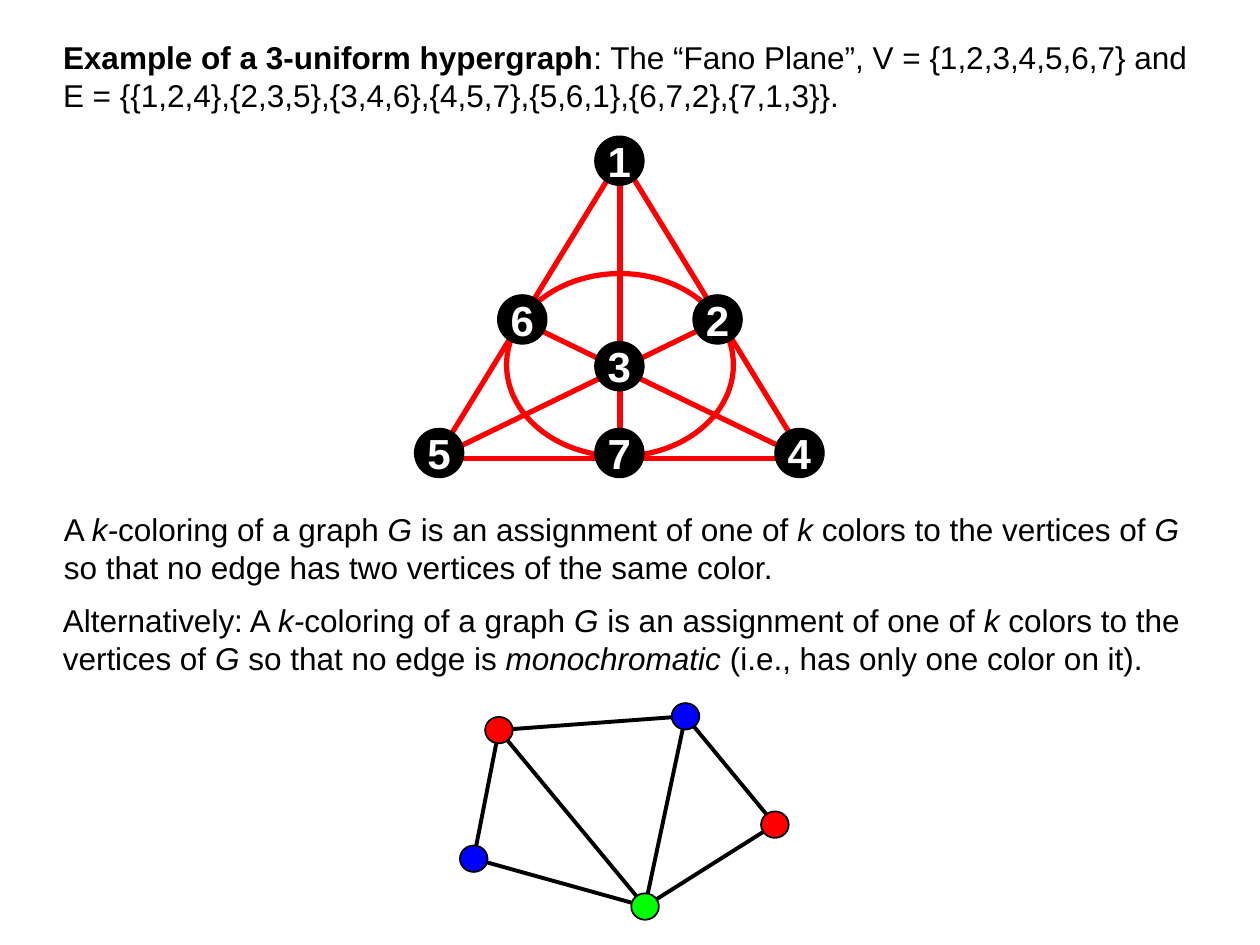
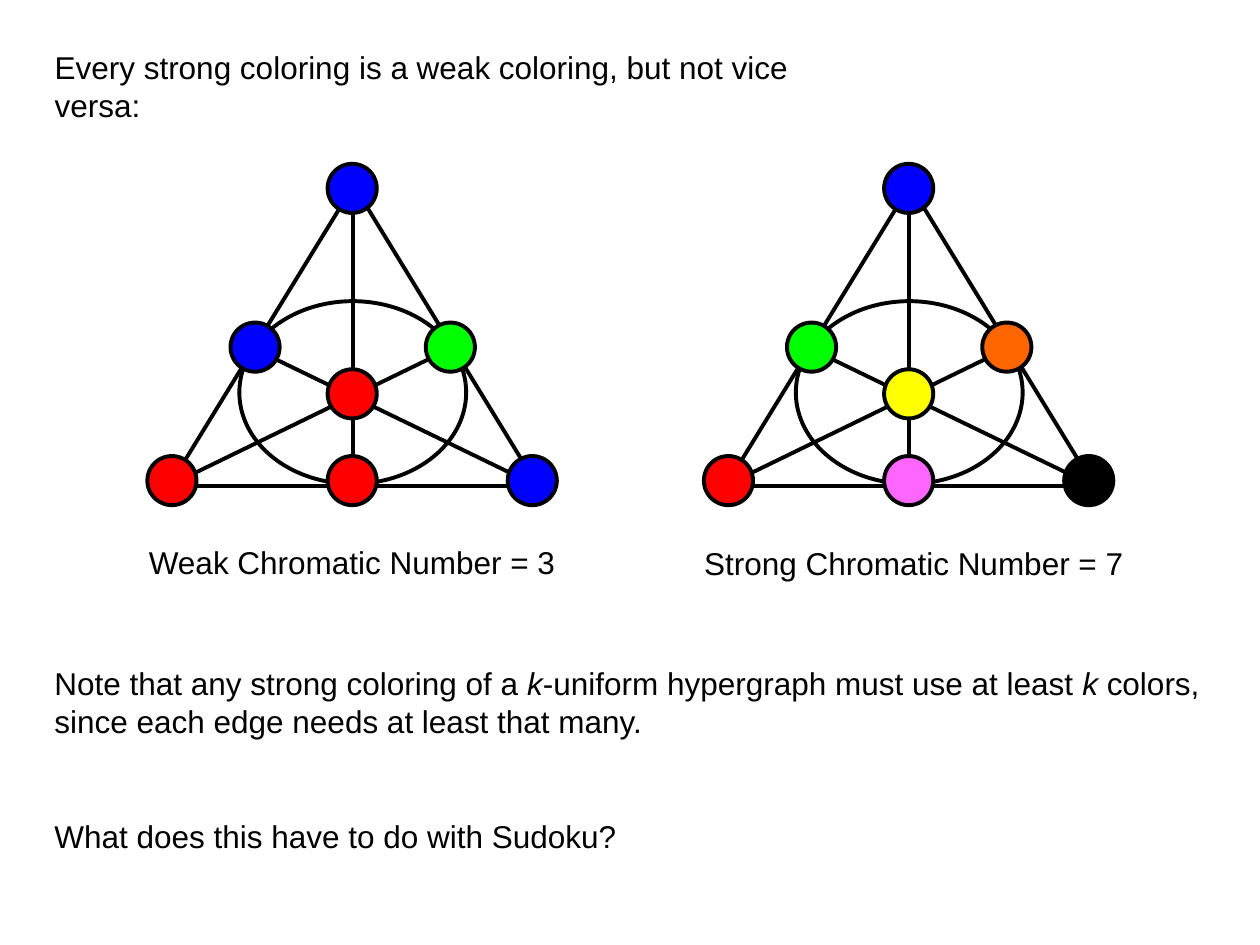
from dataclasses import dataclass

from lxml.etree import SubElement
from pptx import Presentation
from pptx.dml.color import RGBColor
from pptx.enum.shapes import MSO_CONNECTOR as Link, MSO_SHAPE as Kind
from pptx.enum.text import MSO_ANCHOR as Anchor, MSO_AUTO_SIZE as Fit, PP_ALIGN as Align
from pptx.oxml.ns import qn
from pptx.util import Pt

FONT = "Arial"
BLACK, WHITE, RED, BLUE, GREEN = "000000", "FFFFFF", "FF0000", "0000FF", "00FF00"
YELLOW, ORANGE, PINK = "FFFF00", "FF6600", "FF66FF"

Point = tuple[float, float]


@dataclass
class Box:
    left: float
    top: float
    width: float
    height: float

    def at(self, x: float = 0, y: float = 0) -> list[Pt]:
        """Give the four lengths, moved by x and y."""
        return [Pt(v) for v in (self.left + x, self.top + y, self.width, self.height)]


@dataclass
class Note:
    box: Box
    lines: list[str]


@dataclass
class Plane:
    left: float
    top: float
    ink: str
    width: float
    rim: float
    fills: list[str]
    labels: str = ""


# The Fano plane, measured from its own top left corner; nodes run 1 to 7.
RING = Box(52.6, 78.5, 129.6, 104.4)
DISC = 28.08
LOW, MID, BASE = 167, 90.7, 184.3
NODES = [(103, 0), (159.1, MID), (103, 117.4), (205.9, LOW),
         (0, LOW), (47.5, MID), (103, LOW)]
APEX, LEFT, RIGHT = (117.4, 11.5), (11.5, BASE), (223.2, BASE)
SIDES = [(LEFT, RIGHT), ((118, 12.2), (13.7, 182.2)), (APEX, RIGHT),
         ((61.2, 105.8), RIGHT), ((172.8, 105.8), LEFT), (APEX, (117.4, BASE))]

# The coloured graph: centre and fill of each vertex, then its edges.
DOT = (15.8, 15.1)
DOTS = {"a": (285.1, 417.2, RED), "b": (391.7, 409.3, BLUE), "c": (270.7, 490.7, BLUE),
        "d": (368.6, 518, GREEN), "e": (442.8, 471.2, RED)}
EDGES = ["ab", "ac", "ad", "bd", "be", "de", "cd"]

INTRO = Note(Box(28.8, 18, 657.4, 50.4), [
    "*Example of a 3-uniform hypergraph*: The “Fano Plane”, V = {1,2,3,4,5,6,7} and",
    "E = {{1,2,4},{2,3,5},{3,4,6},{4,5,7},{5,6,1},{6,7,2},{7,1,3}}."])
RULES = [
    Note(Box(29.4, 288, 652.3, 50.4), [
        "A *k-*coloring of a graph *G* is an assignment of one of *k* colors to the vertices of *G*",
        "so that no edge has two vertices of the same color."]),
    Note(Box(28.8, 340, 654.5, 50.4), [
        "Alternatively: A *k-*coloring of a graph *G* is an assignment of one of *k* colors to the",
        "vertices of *G *so that no edge is *monochromatic* (i.e., has only one color on it)."]),
]
CLAIM = Note(Box(24, 24, 487.4, 28.8),
             ["Every strong coloring is a weak coloring, but not vice versa:"])
REMARKS = [
    Note(Box(24, 376, 668.9, 50.4), [
        "Note that any strong coloring of a *k*-uniform hypergraph must use at least *k* colors,",
        "since each edge needs at least that many."]),
    Note(Box(24, 463.2, 335.5, 28.8), ["What does this have to do with Sudoku?"]),
    Note(Box(78, 306.5, 247, 28.8), ["Weak Chromatic Number = 3"]),
    Note(Box(395.3, 307.2, 254.2, 28.8), ["Strong Chromatic Number = 7"]),
]

NUMBERED = Plane(236.9, 77.8, RED, 3, 0.75, [BLACK] * 7, "1234567")
WEAK = Plane(84.2, 93.6, BLACK, 2.25, 2.25, [BLUE, GREEN, RED, BLUE, RED, BLUE, RED])
STRONG = Plane(402.2, 93.6, BLACK, 2.25, 2.25,
               [BLUE, ORANGE, YELLOW, BLACK, RED, GREEN, PINK])


def tint(code: str) -> RGBColor:
    return RGBColor.from_string(code)


def style(font, size: float, color: str) -> None:
    font.name, font.size = FONT, Pt(size)
    font.color.rgb = tint(color)


def write(frame, lines: list[str], mark: str = "italic") -> None:
    """Fill the frame; parts between asterisks get the marked style."""
    frame.word_wrap = False
    frame.auto_size = Fit.SHAPE_TO_FIT_TEXT
    frame.vertical_anchor = Anchor.TOP
    for n, line in enumerate(lines):
        para = frame.add_paragraph() if n else frame.paragraphs[0]
        para.alignment = Align.LEFT
        for k, part in enumerate(line.split("*")):
            if part:
                run = para.add_run()
                run.text = part
                style(run.font, 18, BLACK)
                setattr(run.font, mark, k % 2 == 1)


def head(slide, note: Note) -> None:
    """Place the opening statement in the title placeholder."""
    title = slide.shapes.title
    title.left, title.top, title.width, title.height = note.box.at()
    write(title.text_frame, note.lines, "bold")


def jot(slide, notes: list[Note]) -> None:
    for note in notes:
        write(slide.shapes.add_textbox(*note.box.at()).text_frame, note.lines)


def oval(shapes, spot: list[Pt], fill: str | None, ink: str, width: float):
    shape = shapes.add_shape(Kind.OVAL, *spot)
    shape.shadow.inherit = False
    if fill:
        shape.fill.solid()
        shape.fill.fore_color.rgb = tint(fill)
    else:
        shape.fill.background()
    shape.line.color.rgb = tint(ink)
    shape.line.width = Pt(width)
    return shape


def edge(shapes, start: Point, end: Point, ink: str, width: float) -> None:
    line = shapes.add_connector(Link.STRAIGHT, *(Pt(v) for v in (*start, *end)))
    line.line.color.rgb = tint(ink)
    line.line.width = Pt(width)
    SubElement(line._element.spPr, qn("a:effectLst"))


def label(shape, text: str) -> None:
    frame = shape.text_frame
    frame.text = text
    frame.word_wrap = False
    frame.vertical_anchor = Anchor.MIDDLE
    para = frame.paragraphs[0]
    para.alignment = Align.CENTER
    font = para.runs[0].font
    style(font, 24, WHITE)
    font.bold = True


def fano(slide, plane: Plane) -> None:
    shapes = slide.shapes.add_group_shape().shapes
    x, y = plane.left, plane.top
    oval(shapes, RING.at(x, y), None, plane.ink, plane.width)
    for (ax, ay), (bx, by) in SIDES:
        edge(shapes, (x + ax, y + ay), (x + bx, y + by), plane.ink, plane.width)
    for n, (node, fill) in enumerate(zip(NODES, plane.fills)):
        disc = oval(shapes, Box(*node, DISC, DISC).at(x, y), fill, BLACK, plane.rim)
        if plane.labels:
            label(disc, plane.labels[n])


def graph(slide) -> None:
    shapes = slide.shapes.add_group_shape().shapes
    for a, b in EDGES:
        edge(shapes, DOTS[a][:2], DOTS[b][:2], BLACK, 2.25)
    wide, high = DOT
    for x, y, fill in DOTS.values():
        oval(shapes, Box(x - wide / 2, y - high / 2, wide, high).at(), fill, BLACK, 1)


def main() -> None:
    deck = Presentation()
    deck.slide_width, deck.slide_height = Pt(720), Pt(540)
    layout = deck.slide_layouts.get_by_name("Title Only")

    first = deck.slides.add_slide(layout)
    head(first, INTRO)
    fano(first, NUMBERED)
    jot(first, RULES)
    graph(first)

    second = deck.slides.add_slide(layout)
    head(second, CLAIM)
    for plane in (WEAK, STRONG):
        fano(second, plane)
    jot(second, REMARKS)

    deck.save("out.pptx")


if __name__ == "__main__":
    main()
